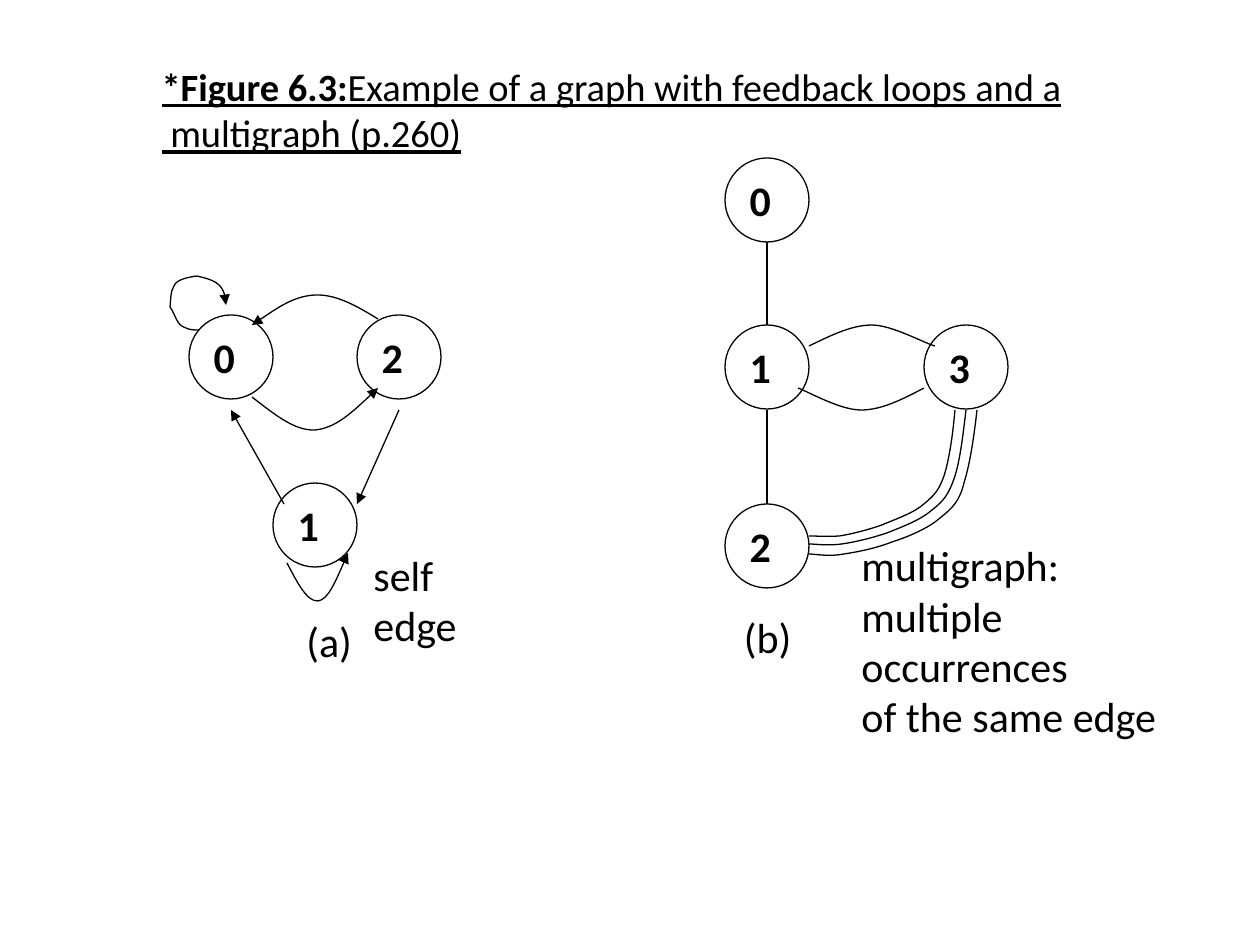
from lxml.etree import SubElement
from pptx import Presentation
from pptx.dml.color import RGBColor
from pptx.enum.shapes import MSO_CONNECTOR, MSO_SHAPE
from pptx.enum.text import MSO_ANCHOR, MSO_AUTO_SIZE, PP_ALIGN
from pptx.oxml.ns import qn
from pptx.util import Pt

PX = 914400 / 126
COLORS = {"ink": "000000"}
NODE = 84


def px(n):
    return round(n * PX)


def add_text(p, text, size=24, bold=False, underline=False, color="ink"):
    r = p.add_run()
    r.text = text
    f = r.font
    f.name, f.size = "Calibri", Pt(size)
    f.bold, f.underline = bold, underline
    f.color.rgb = RGBColor.from_string(COLORS[color])


class Canvas:
    """Holds the drawing style and the slide being filled."""

    def __init__(self, s, color="ink", width=0.75):
        self.s, self.color, self.width = s, color, width

    def stroke(self, sp, arrow):
        sp.line.color.rgb = RGBColor.from_string(COLORS[self.color])
        sp.line.width = Pt(self.width)
        if arrow:
            ln = sp._element.spPr.find(qn("a:ln"))
            SubElement(ln, qn("a:tailEnd"), type="triangle")

    def frame(self, sp, lines, anchor, **fmt):
        """Fill a shape with left-aligned paragraphs, each a list of (text, format) runs."""
        tf = sp.text_frame
        tf.word_wrap = True
        tf.auto_size = MSO_AUTO_SIZE.NONE
        tf.vertical_anchor = anchor
        for i, runs in enumerate(lines):
            p = tf.add_paragraph() if i else tf.paragraphs[0]
            p.alignment = PP_ALIGN.LEFT
            for text, extra in runs:
                add_text(p, text, **{**fmt, **extra})

    def title(self, x, y, w, h, lines):
        sp = self.s.shapes.title
        sp.left, sp.top, sp.width, sp.height = map(px, (x, y, w, h))
        self.frame(sp, lines, MSO_ANCHOR.TOP, size=22, underline=True)
        for p in sp.text_frame.paragraphs:
            p.line_spacing = 1.0

    def label(self, x, y, w, h, *lines, anchor=MSO_ANCHOR.TOP):
        sp = self.s.shapes.add_textbox(*map(px, (x, y, w, h)))
        self.frame(sp, [[(t, {})] for t in lines], anchor)

    def node(self, x, y, name):
        sp = self.s.shapes.add_shape(MSO_SHAPE.OVAL, *map(px, (x, y, NODE, NODE)))
        sp.shadow.inherit = False
        sp.fill.background()
        self.stroke(sp, False)
        self.frame(sp, [[(name, {})]], MSO_ANCHOR.MIDDLE, bold=True)

    def edge(self, x1, y1, x2, y2, arrow=False):
        c = self.s.shapes.add_connector(MSO_CONNECTOR.STRAIGHT, *map(px, (x1, y1, x2, y2)))
        self.stroke(c, arrow)
        SubElement(c._element.spPr, qn("a:effectLst"))

    def curve(self, points, arrow=False):
        """Draw cubic Béziers: a start point, then three points for each segment."""
        fb = self.s.shapes.build_freeform(*points[0], scale=PX)
        fb.add_line_segments(points[1:], close=False)
        sp = fb.convert_to_shape()
        path = next(sp._element.iter(qn("a:path")))
        steps = path.findall(qn("a:lnTo"))
        for i in range(0, len(steps), 3):
            cubic = SubElement(path, qn("a:cubicBezTo"))
            for step in steps[i:i + 3]:
                cubic.append(step[0])
                path.remove(step)
        sp.shadow.inherit = False
        sp.fill.background()
        self.stroke(sp, arrow)


NODES = [
    (189, 315, "0"), (357, 315, "2"), (273, 483, "1"),
    (725, 504, "2"), (725, 325, "1"), (725, 158, "0"), (924, 325, "3"),
]
DIRECTED_EDGES = [(284, 504, 231, 410), (399, 410, 357, 504)]
PLAIN_EDGES = [(767, 242, 767, 325), (767, 410, 767, 504)]
DIRECTED_CURVES = [
    [(199, 330), (195, 330), (190, 330), (186, 328), (176, 325), (176, 315), (170, 307),
     (171, 300), (170, 292), (174, 286), (176, 278), (197, 276), (197, 276),
     (214, 280), (226, 285), (226, 305)],
    [(378, 319), (357, 306), (336, 294), (315, 295), (294, 296), (273, 311), (252, 325)],
    [(252, 397), (273, 413), (294, 431), (315, 430), (336, 428), (357, 408), (378, 388)],
    [(287, 563), (297, 582), (307, 602), (318, 601), (328, 600), (338, 576), (348, 553)],
]
PLAIN_CURVES = [
    [(809, 346), (830, 336), (851, 325), (872, 325), (892, 325), (924, 343), (935, 346)],
    [(924, 388), (903, 399), (882, 410), (861, 410), (840, 410), (809, 392), (798, 388)],
    [(955, 410), (953, 433), (950, 455), (945, 473), (940, 489), (935, 495), (924, 504),
     (914, 513), (896, 519), (882, 525), (868, 530), (852, 534), (840, 536),
     (828, 537), (814, 536), (809, 536)],
    [(966, 410), (963, 436), (960, 460), (955, 476), (949, 494), (944, 501), (932, 510),
     (921, 520), (902, 527), (887, 533), (872, 538), (856, 542), (842, 544),
     (829, 546), (814, 544), (809, 544)],
    [(977, 410), (974, 437), (970, 464), (964, 483), (960, 500), (953, 508), (940, 518),
     (929, 528), (908, 537), (892, 542), (877, 548), (858, 552), (844, 554),
     (830, 557), (814, 554), (809, 554)],
]


def main():
    prs = Presentation()
    prs.slide_width, prs.slide_height = px(1260), px(945)
    c = Canvas(prs.slides.add_slide(prs.slide_layouts[5]))
    c.title(149, 57, 939, 105, [
        [("*Figure 6.3:", {"bold": True}),
         ("Example of a graph with feedback loops and a", {})],
        [(" multigraph (p.260)", {})],
    ])
    for node in NODES:
        c.node(*node)
    for arrow, edges, curves in ((True, DIRECTED_EDGES, DIRECTED_CURVES),
                                 (False, PLAIN_EDGES, PLAIN_CURVES)):
        for edge in edges:
            c.edge(*edge, arrow=arrow)
        for points in curves:
            c.curve(points, arrow)
    c.label(294, 609, 72, 63, "(a)")
    c.label(722, 605, 84, 63, " (b)")
    c.label(361, 543, 168, 113, "self edge", anchor=MSO_ANCHOR.MIDDLE)
    c.label(849, 558, 372, 165, "multigraph:", "multiple occurrences",
            "of the same edge", anchor=MSO_ANCHOR.MIDDLE)
    prs.save("out.pptx")


if __name__ == "__main__":
    main()
